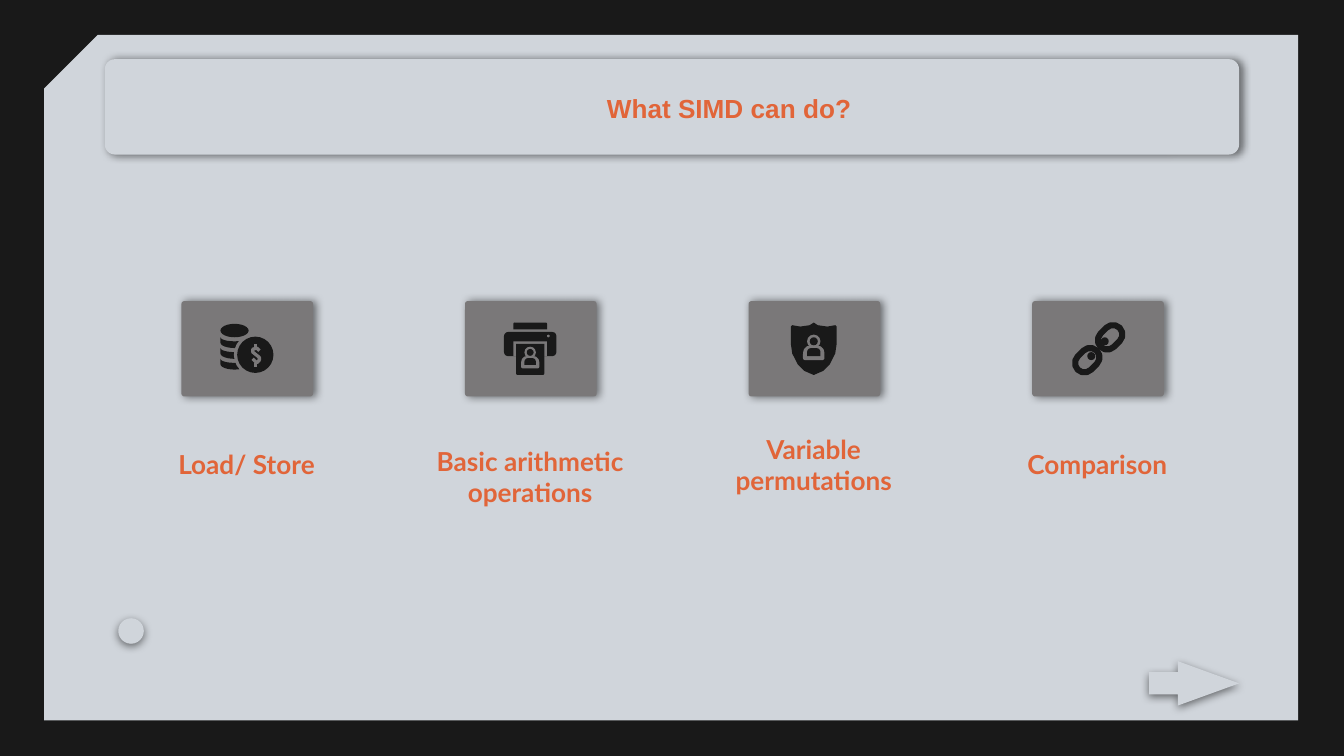
"""Build the slide on what SIMD can do: four icon tiles with captions under a heading bar."""
from dataclasses import dataclass
from math import cos, pi, sin

from lxml.etree import SubElement
from pptx import Presentation
from pptx.dml.color import RGBColor as Rgb
from pptx.enum.shapes import MSO_SHAPE as Kind
from pptx.enum.text import MSO_ANCHOR as Anchor, MSO_AUTO_SIZE as AutoSize, PP_ALIGN as Align
from pptx.oxml.ns import qn
from pptx.util import Inches, Pt


@dataclass(frozen=True)
class Theme:
    """Colours, fonts and type size of the slide."""
    dark: str = "191919"
    panel: str = "D0D5DB"
    tile: str = "7A7879"
    accent: str = "E16539"
    heading_font: str = "Arial"
    caption_font: str = "Lato"
    size: float = 14


THEME = Theme()
PITCH, TILE_LEFT, TILE_TOP = 2.11, 1.35, 2.24


def place(box, left, top, width, height):
    """Position a box, in inches."""
    box.left, box.top = Inches(left), Inches(top)
    box.width, box.height = Inches(width), Inches(height)


def paint(shape, fill=None, line=None, weight=0):
    """Set fill and line, leaving out whichever is not given."""
    shape.shadow.inherit = False
    if fill:
        shape.fill.solid()
        shape.fill.fore_color.rgb = Rgb.from_string(fill)
    else:
        shape.fill.background()
    if line:
        shape.line.color.rgb = Rgb.from_string(line)
        shape.line.width = Pt(weight)
    else:
        shape.line.fill.background()


def add_shape(page, kind, left, top, width, height, fill=None, adjust=(), **line):
    """Add a preset shape with plain paint."""
    shape = page.shapes.add_shape(kind, *map(Inches, (left, top, width, height)))
    for index, value in enumerate(adjust):
        shape.adjustments[index] = value
    paint(shape, fill, **line)
    return shape


def add_dot(page, x, y, radius, fill):
    """Add a circle around a centre."""
    return add_shape(page, Kind.OVAL, x - radius, y - radius, 2 * radius, 2 * radius, fill)


def add_outline(page, left, top, contours, close=True, **look):
    """Add a freeform whose contours are relative to left and top."""
    paths = [[(Inches(left + x), Inches(top + y)) for x, y in contour] for contour in contours]
    builder = page.shapes.build_freeform(*paths[0][0], scale=1.0)
    for index, path in enumerate(paths):
        if index:
            builder.move_to(*path[0])
        builder.add_line_segments(path[1:], close=close)
    shape = builder.convert_to_shape()
    paint(shape, **look)
    return shape


def cast_shadow(shape, angle):
    """Give a shape a soft half-transparent black shadow."""
    effects = shape.element.spPr.find(qn("a:effectLst"))
    shadow = SubElement(effects, qn("a:outerShdw"), blurRad=str(Pt(4.5)), dist=str(Pt(1.5)),
                        dir=str(angle * 60000), algn="bl", rotWithShape="0")
    colour = SubElement(shadow, qn("a:srgbClr"), val="000000")
    SubElement(colour, qn("a:alpha"), val="50000")


def write_text(box, text, font, size=THEME.size, color=THEME.accent, anchor=Anchor.MIDDLE, inset=0.1):
    """Write one bold centred paragraph into a placeholder and bring it to the front."""
    frame = box.text_frame
    frame.word_wrap, frame.auto_size, frame.vertical_anchor = True, AutoSize.NONE, anchor
    frame.margin_left = frame.margin_right = Inches(0.1)
    frame.margin_top = frame.margin_bottom = Inches(inset)
    para = frame.paragraphs[0]
    properties = para._p.get_or_add_pPr()
    properties.set("marL", "0")
    properties.set("indent", "0")
    SubElement(properties, qn("a:buNone"))
    para.alignment, para.line_spacing, para.space_before = Align.CENTER, 1.0, Pt(0)
    span = para.add_run()
    span.text = text
    span.font.name, span.font.size, span.font.bold = font, Pt(size), True
    span.font.color.rgb = Rgb.from_string(color)
    box.element.getparent().append(box.element)


def draw_person(page, x, top, scale=1.0):
    """Draw a head and shoulders outlined in the tile colour."""
    add_shape(page, Kind.ROUND_2_SAME_RECTANGLE, x - 0.08 * scale, top + 0.08 * scale,
              0.16 * scale, 0.11 * scale, THEME.tile, (0.5, 0.15))
    add_dot(page, x, top + 0.05 * scale, 0.05 * scale, THEME.tile)
    add_dot(page, x, top + 0.05 * scale, 0.03 * scale, THEME.dark)
    add_shape(page, Kind.ROUND_2_SAME_RECTANGLE, x - 0.05 * scale, top + 0.1 * scale,
              0.1 * scale, 0.06 * scale, THEME.dark, (0.5, 0))


def draw_coins(page, left, top):
    """Draw a stack of coins behind a dollar coin."""
    add_shape(page, Kind.OVAL, left + 0.29, top + 0.17, 0.21, 0.1, THEME.dark)
    angles = [pi * step / 12 for step in range(13)]
    upper = [(0.395 - 0.105 * cos(angle), 0.03 * sin(angle)) for angle in angles]
    lower = [(x, 0.04 + 1.33 * y) for x, y in reversed(upper)]
    for row in range(3):
        add_outline(page, left, top + 0.27 + 0.08 * row, [upper + lower], fill=THEME.dark)
    for radius, fill in ((0.16, THEME.tile), (0.135, THEME.dark)):
        add_dot(page, left + 0.55, top + 0.4, radius, fill)
    curve = [(0.58, 0.37), (0.56, 0.35), (0.53, 0.36), (0.53, 0.38), (0.58, 0.42),
             (0.58, 0.44), (0.56, 0.46), (0.53, 0.43)]
    bars = [[(0.55, 0.32), (0.55, 0.35)], [(0.55, 0.46), (0.55, 0.49)]]
    add_outline(page, left, top, [curve, *bars], close=False, line=THEME.tile, weight=1.75)


def draw_printer(page, left, top):
    """Draw a printer with a portrait on its sheet."""
    for kind, x, y, width, height, fill, adjust in (
            (Kind.ROUND_2_SAME_RECTANGLE, 0.36, 0.16, 0.25, 0.05, THEME.dark, (0.17, 0)),
            (Kind.ROUNDED_RECTANGLE, 0.29, 0.23, 0.39, 0.18, THEME.dark, (0.17,)),
            (Kind.RECTANGLE, 0.36, 0.3, 0.25, 0.11, THEME.tile, ()),
            (Kind.ROUND_2_SAME_RECTANGLE, 0.38, 0.32, 0.21, 0.23, THEME.dark, (0, 0.05)),
            (Kind.OVAL, 0.61, 0.25, 0.02, 0.02, THEME.tile, ())):
        add_shape(page, kind, left + x, top + y, width, height, fill, adjust)
    draw_person(page, left + 0.485, top + 0.34, 0.85)


def draw_shield(page, left, top):
    """Draw a shield with a portrait on it."""
    half = [(0, 0.16), (0.03, 0.18), (0.1, 0.19), (0.16, 0.18), (0.17, 0.19), (0.17, 0.32),
            (0.16, 0.39), (0.12, 0.47), (0.07, 0.52), (0, 0.55)]
    mirror = [(-x, y) for x, y in reversed(half[1:-1])]
    add_outline(page, left + 0.485, top, [half + mirror], fill=THEME.dark)
    draw_person(page, left + 0.485, top + 0.25)


def draw_chain(page, left, top):
    """Draw two joined chain links."""
    for x, y, dot_x, dot_y in ((0.58, 0.27, 0.54, 0.3), (0.41, 0.44, 0.44, 0.41)):
        link = add_shape(page, Kind.ROUNDED_RECTANGLE, left + x - 0.1, top + y - 0.07, 0.2, 0.14,
                         adjust=(0.5,), line=THEME.dark, weight=3.25)
        link.rotation = -45
        add_dot(page, left + dot_x, top + dot_y, 0.03, THEME.dark)


def draw_backdrop(page):
    """Draw the panel, heading bar, arrow and round button."""
    page.background.fill.solid()
    page.background.fill.fore_color.rgb = Rgb.from_string(THEME.dark)
    panel = add_shape(page, Kind.SNIP_1_RECTANGLE, 0.33, 0.26, 9.33, 5.1, THEME.panel, (0.078,))
    panel.element.spPr.xfrm.set("flipH", "1")
    for kind, bounds, adjust, angle in (
            (Kind.ROUNDED_RECTANGLE, (0.78, 0.44, 8.44, 0.71), (0.106,), 6),
            (Kind.RIGHT_ARROW, (8.55, 4.92, 0.67, 0.33), (0.5, 1.38), 90),
            (Kind.OVAL, (0.88, 4.6, 0.19, 0.19), (), 90)):
        cast_shadow(add_shape(page, kind, *bounds, THEME.panel, adjust), angle)


def main():
    """Build and save the deck."""
    deck = Presentation()
    deck.slide_width, deck.slide_height = Inches(10), Inches(10 * 9 / 16)
    page = deck.slides.add_slide(deck.slide_layouts.get_by_name("Comparison"))
    heading, *captions = page.placeholders
    draw_backdrop(page)
    place(heading, 3.95, 0.64, 2.95, 0.2)
    write_text(heading, "What SIMD can do?", THEME.heading_font, anchor=Anchor.TOP, inset=0.05)
    operations = (
        ("Load/ Store", draw_coins, (0.78, 3.26, 2.11, 0.39)),
        ("Basic arithmetic operations", draw_printer, (2.76, 3.19, 2.37, 0.71)),
        ("Variable permutations", draw_shield, (5, 3.26, 2.11, 0.39)),
        ("Comparison", draw_chain, (7.11, 3.26, 2.11, 0.39)))
    for column, (caption, (text, draw_icon, bounds)) in enumerate(zip(captions, operations)):
        left = TILE_LEFT + column * PITCH
        tile = add_shape(page, Kind.ROUNDED_RECTANGLE, left, TILE_TOP, 0.98, 0.71, THEME.tile, (0.031,))
        cast_shadow(tile, 6)
        draw_icon(page, left, TILE_TOP)
        place(caption, *bounds)
        write_text(caption, text, THEME.caption_font)
    deck.save("out.pptx")


if __name__ == "__main__":
    main()
